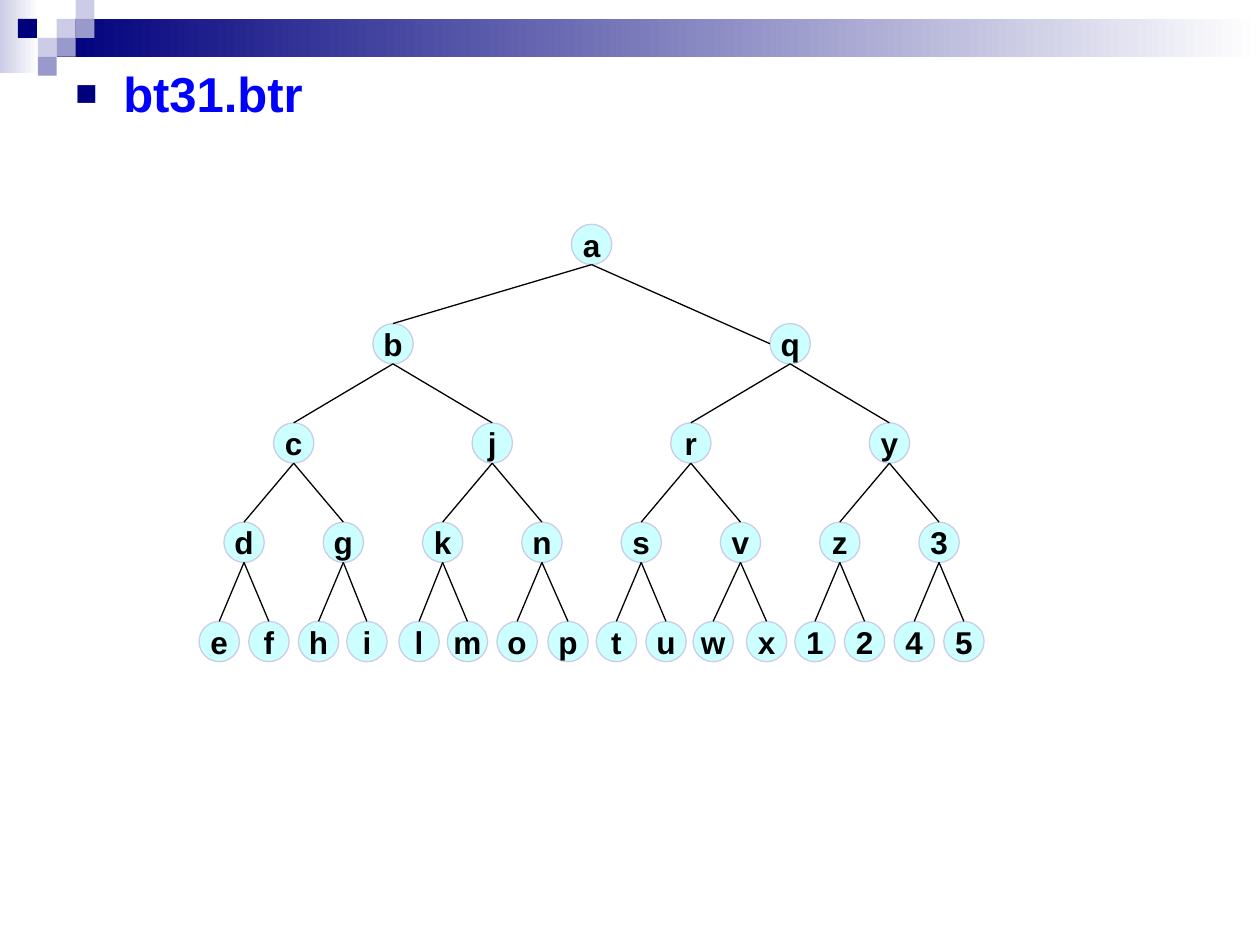
"""Build a slide that shows the binary tree stored in bt31.btr."""
from lxml.etree import SubElement
from pptx import Presentation
from pptx.dml.color import RGBColor
from pptx.enum.shapes import MSO_CONNECTOR, MSO_SHAPE
from pptx.enum.text import MSO_ANCHOR, PP_ALIGN
from pptx.oxml.ns import qn
from pptx.util import Inches, Pt

TITLE = "bt31.btr"
TREE = ["a", "bq", "cjry", "dgknsvz3", "efhilmoptuwx1245"]
NUDGE = {"i": -0.01, "l": 0.01, "p": 0.01, "w": -0.02, "x": 0.01}
HUES = {"navy": "00007D", "pale": "CCCCE6", "mid": "9999CC", "white": "FFFFFF",
        "blue": "0000FF", "cyan": "CCFFFF", "black": "000000"}
FONT = "Arial"
WIDE, HIGH = 10, 7.5

CELL = 0.15
BANDS = [("pale", 0, 0, 0.31, 0.58), ("navy", 3 * CELL, CELL, WIDE - 3 * CELL, 2 * CELL)]
TILES = [("pale", 3, 1), ("pale", 4, 0), ("mid", 4, 1), ("pale", 2, 2),
         ("navy", 0.95, 1), ("mid", 3, 2), ("mid", 2, 3)]

SIZE = 0.32
LEFT, TOP = 1.74, 1.78
STEP = 5.91 / (len(TREE[-1]) - 1)
PITCH = 2 * STEP


def hue(name):
    return RGBColor.from_string(HUES[name])


def draw(slide, kind, box, fill, edge=None):
    shape = slide.shapes.add_shape(kind, *map(Inches, box))
    shape.shadow.inherit = False
    if isinstance(fill, tuple):
        shape.fill.gradient()
        shape.fill.gradient_angle = 0
        for stop, name in zip(shape.fill.gradient_stops, fill):
            stop.color.rgb = hue(name)
    else:
        shape.fill.solid()
        shape.fill.fore_color.rgb = hue(fill)
    if edge:
        shape.line.color.rgb = hue(edge)
        shape.line.width = Pt(0.75)
    else:
        shape.line.fill.background()
    return shape


def write(para, text, size, color):
    run = para.add_run()
    run.text = text
    run.font.name, run.font.size, run.font.bold = FONT, Pt(size), True
    run.font.color.rgb = hue(color)


def head(slide):
    frame = slide.shapes.add_textbox(*map(Inches, (0.5, 0.42, 9.08, 7.08))).text_frame
    frame.word_wrap = True
    frame.margin_top = Inches(0.08)
    para = frame.paragraphs[0]
    props = para._p.get_or_add_pPr()
    props.set("marL", str(Inches(0.38)))
    props.set("indent", str(-Inches(0.38)))
    tint = SubElement(props, qn("a:buClr"))
    SubElement(tint, qn("a:srgbClr"), val=HUES["navy"])
    SubElement(props, qn("a:buSzPct"), val="75000")
    SubElement(props, qn("a:buFont"), typeface=FONT)
    SubElement(props, qn("a:buChar"), char="■")
    write(para, TITLE, 28, "blue")


def spot(row, col):
    span = 2 ** (len(TREE) - 1 - row)
    mid = LEFT + STEP * (col * span + (span - 1) / 2)
    return mid + NUDGE.get(TREE[row][col], 0), TOP + PITCH * row


def node(slide, row, col):
    x, y = spot(row, col)
    shape = draw(slide, MSO_SHAPE.OVAL, (x - SIZE / 2, y, SIZE, SIZE), "cyan", "pale")
    frame = shape.text_frame
    frame.word_wrap = False
    frame.vertical_anchor = MSO_ANCHOR.MIDDLE
    para = frame.paragraphs[0]
    para.alignment = PP_ALIGN.CENTER
    write(para, TREE[row][col], 18, "black")


def link(slide, row, col):
    x, y = spot(row - 1, col // 2)
    end, low = spot(row, col)
    if TREE[row][col] == "q":
        end, low = end - SIZE / 2, low + SIZE / 2
    line = slide.shapes.add_connector(
        MSO_CONNECTOR.STRAIGHT, *map(Inches, (x, y + SIZE, end, low)))
    line.line.color.rgb = hue("black")
    line.line.width = Pt(0.75)
    SubElement(line._element.spPr, qn("a:effectLst"))


def main():
    deck = Presentation()
    deck.slide_width, deck.slide_height = Inches(WIDE), Inches(HIGH)
    slide = deck.slides.add_slide(deck.slide_layouts[6])
    for name, *box in BANDS:
        draw(slide, MSO_SHAPE.RECTANGLE, box, (name, "white"))
    for name, col, row in TILES:
        draw(slide, MSO_SHAPE.RECTANGLE, (col * CELL, row * CELL, CELL, CELL), name)
    head(slide)
    for row, keys in enumerate(TREE):
        for col in range(len(keys)):
            node(slide, row, col)
            if row:
                link(slide, row, col)
    deck.save("out.pptx")


if __name__ == "__main__":
    main()
